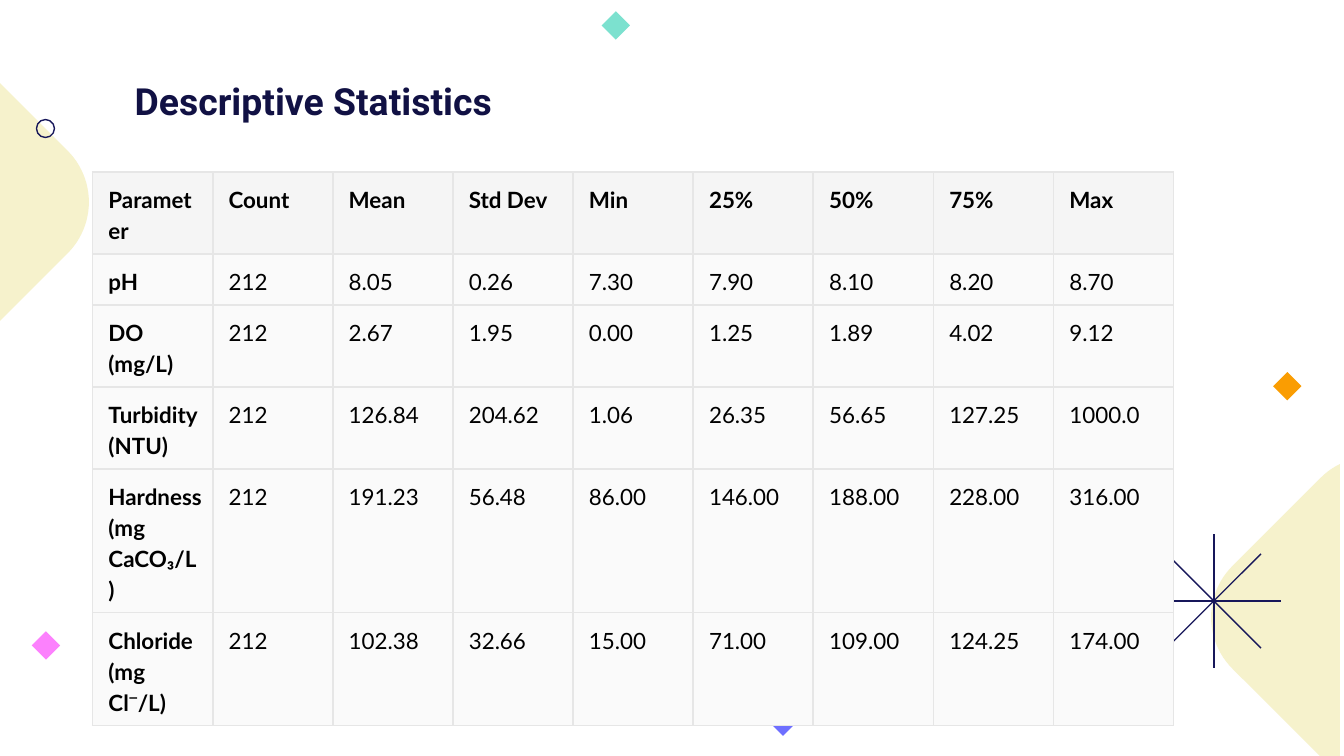
import math

from lxml import etree
from pptx import Presentation
from pptx.dml.color import RGBColor
from pptx.enum.shapes import MSO_CONNECTOR, MSO_SHAPE
from pptx.enum.text import MSO_ANCHOR, MSO_AUTO_SIZE, PP_ALIGN
from pptx.oxml.ns import qn
from pptx.util import Cm, Pt

STRAIGHT = MSO_CONNECTOR.STRAIGHT
RECTANGLE = MSO_SHAPE.RECTANGLE
OVAL = MSO_SHAPE.OVAL
TOP = MSO_ANCHOR.TOP
FIT_SHAPE = MSO_AUTO_SIZE.SHAPE_TO_FIT_TEXT
LEFT = PP_ALIGN.LEFT

BLACK = RGBColor(0x00, 0x00, 0x00)
TITLE_NAVY = RGBColor(0x11, 0x11, 0x44)
LINE_NAVY = RGBColor(0x17, 0x17, 0x5A)
CREAM = RGBColor(0xF6, 0xF2, 0xCC)
PINK = RGBColor(0xFC, 0x81, 0xFD)
VIOLET = RGBColor(0x6E, 0x6F, 0xFF)
ORANGE = RGBColor(0xFA, 0x9D, 0x02)
MINT = RGBColor(0x7C, 0xE1, 0xCF)
HEADER_GREY = RGBColor(0xF5, 0xF5, 0xF5)
BODY_GREY = RGBColor(0xFA, 0xFA, 0xFA)
BORDER_GREY = RGBColor(0xE6, 0xE6, 0xE6)

SLIDE_W, SLIDE_H = 25.4, 14.29
BODY_FONT = "Lato"
SUPERSCRIPT_MINUS = "⁻"

ROWS = [
    ["Parameter", "Count", "Mean", "Std Dev", "Min", "25%", "50%", "75%", "Max"],
    ["pH", "212", "8.05", "0.26", "7.30", "7.90", "8.10", "8.20", "8.70"],
    ["DO (mg/L)", "212", "2.67", "1.95", "0.00", "1.25", "1.89", "4.02", "9.12"],
    ["Turbidity (NTU)", "212", "126.84", "204.62", "1.06", "26.35", "56.65", "127.25", "1000.0"],
    ["Hardness (mg CaCO₃/L)", "212", "191.23", "56.48", "86.00", "146.00", "188.00", "228.00", "316.00"],
    ["Chloride (mg Cl⁻/L)", "212", "102.38", "32.66", "15.00", "71.00", "109.00", "124.25", "174.00"],
]
ROW_HEIGHTS = [1.52, 0.94, 1.52, 1.52, 2.11, 2.08]
COLUMN_WIDTH = 2.27
CELL_FORMAT = {
    "margin_left": Cm(0.3),
    "margin_right": Cm(0.2),
    "margin_top": Cm(0.2),
    "margin_bottom": Cm(0.18),
    "vertical_anchor": TOP,
}
PARAGRAPH_FORMAT = {"alignment": LEFT, "line_spacing": 1.15, "space_after": Pt(8)}


def set_attributes(target, values):
    for name, value in values.items():
        setattr(target, name, value)


def set_font(font, color, **values):
    set_attributes(font, values)
    font.color.rgb = color


def fill_shape(sp, color):
    sp.shadow.inherit = False
    sp.fill.solid()
    sp.fill.fore_color.rgb = color
    sp.line.fill.background()


def add_rounded_diamond(s, cx, cy, limit=math.inf):
    reach, radius, steps = 1.67, 1.37, 24
    points = []
    for corner in (0, 90, 180, 270):
        axis = math.radians(corner)
        for step in range(steps + 1):
            angle = math.radians(corner - 45 + 90 * step / steps)
            x = cx + reach * math.cos(axis) + radius * math.cos(angle)
            y = cy + reach * math.sin(axis) + radius * math.sin(angle)
            if x <= limit:
                points.append((Cm(x), Cm(y)))
    builder = s.shapes.build_freeform(*points[0])
    builder.add_line_segments(points[1:], close=True)
    fill_shape(builder.convert_to_shape(), CREAM)


def add_small_diamond(s, cx, cy, color, size=0.38):
    sp = s.shapes.add_shape(
        RECTANGLE, Cm(cx - size / 2), Cm(cy - size / 2), Cm(size), Cm(size))
    sp.rotation = 315
    fill_shape(sp, color)


def add_ring(s, x, y, size):
    sp = s.shapes.add_shape(OVAL, Cm(x), Cm(y), Cm(size), Cm(size))
    sp.shadow.inherit = False
    sp.fill.background()
    sp.line.color.rgb = LINE_NAVY
    sp.line.width = Pt(0.75)


def add_star(s, cx, cy, radius):
    for degrees in (0, 45, 90, 135):
        dx = radius * math.cos(math.radians(degrees))
        dy = radius * math.sin(math.radians(degrees))
        ray = s.shapes.add_connector(
            STRAIGHT, Cm(cx - dx), Cm(cy - dy), Cm(cx + dx), Cm(cy + dy))
        ray.line.color.rgb = LINE_NAVY
        ray.line.width = Pt(0.75)
        etree.SubElement(ray.element.spPr, qn("a:effectLst"))


def set_borders(cell):
    properties = cell._tc.get_or_add_tcPr()
    for index, side in enumerate(("a:lnL", "a:lnR", "a:lnT", "a:lnB")):
        line = etree.Element(qn(side), w=str(Pt(1)))
        fill = etree.SubElement(line, qn("a:solidFill"))
        etree.SubElement(fill, qn("a:srgbClr"), val=str(BORDER_GREY))
        properties.insert(index, line)


def format_cell(cell, text, color, bold):
    set_attributes(cell, CELL_FORMAT)
    cell.fill.solid()
    cell.fill.fore_color.rgb = color
    set_borders(cell)
    p = cell.text_frame.paragraphs[0]
    set_attributes(p, PARAGRAPH_FORMAT)
    for part in filter(None, text.partition(SUPERSCRIPT_MINUS)):
        r = p.add_run()
        r.text = part
        name = "Times New Roman" if part == SUPERSCRIPT_MINUS else BODY_FONT
        set_font(r.font, BLACK, name=name, size=Pt(12), bold=bold)


def add_statistics_table(s, x, y):
    columns = len(ROWS[0])
    table = s.shapes.add_table(
        len(ROWS), columns, Cm(x), Cm(y),
        Cm(COLUMN_WIDTH * columns), Cm(sum(ROW_HEIGHTS))).table
    table.horz_banding = False
    for column in table.columns:
        column.width = Cm(COLUMN_WIDTH)
    for i, (values, height) in enumerate(zip(ROWS, ROW_HEIGHTS)):
        table.rows[i].height = Cm(height)
        color = BODY_GREY if i else HEADER_GREY
        for j, text in enumerate(values):
            format_cell(table.cell(i, j), text, color, i == 0 or j == 0)


def set_title(s, text):
    title = s.shapes.title
    set_attributes(title, {
        "left": Cm(2.29), "top": Cm(1.35), "width": Cm(17.25), "height": Cm(1.12)})
    tf = title.text_frame
    set_attributes(tf, {
        "word_wrap": True, "vertical_anchor": TOP, "auto_size": FIT_SHAPE})
    p = tf.paragraphs[0]
    p.alignment = LEFT
    r = p.add_run()
    r.text = text
    set_font(r.font, TITLE_NAVY, name="Roboto", size=Pt(20), bold=True)


def main():
    prs = Presentation()
    prs.slide_width, prs.slide_height = Cm(SLIDE_W), Cm(SLIDE_H)
    s = prs.slides.add_slide(prs.slide_layouts[5])
    add_rounded_diamond(s, -1.36, 3.82)
    add_rounded_diamond(s, 25.93, 11.67, limit=SLIDE_W)
    add_star(s, 22.94, 11.36, 1.26)
    for cx, cy, color in (
        (0.87, 12.2, PINK),
        (14.8, 13.64, VIOLET),
        (24.33, 7.3, ORANGE),
        (11.64, 0.48, MINT),
    ):
        add_small_diamond(s, cx, cy, color)
    add_ring(s, 0.69, 2.26, 0.34)
    add_statistics_table(s, 1.75, 3.25)
    set_title(s, "Descriptive Statistics")
    prs.save("out.pptx")


if __name__ == "__main__":
    main()
